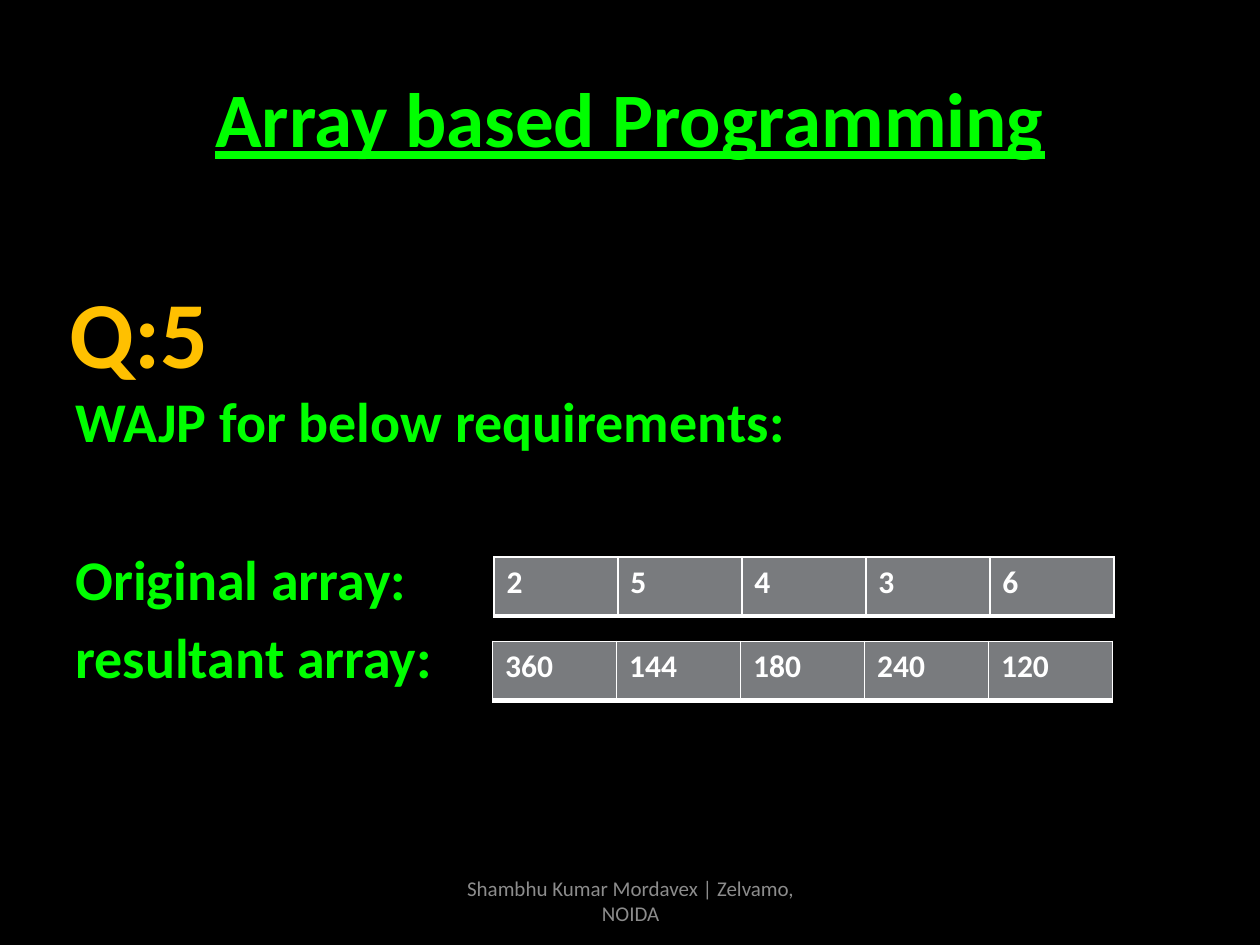
from lxml import etree
from pptx import Presentation
from pptx import util as u
from pptx.dml.color import RGBColor
from pptx.enum import text
from pptx.oxml.ns import qn

GREEN, AMBER, GRAY, WHITE, BLACK = "00FF00", "FFC000", "8C8C8C", "FFFFFF", "000000"
CELL_FILL = "797B7E"
BORDERS = {"lnL": 1, "lnR": 1, "lnT": 1, "lnB": 3}
LEFT, CENTER, RIGHT = text.PP_ALIGN.LEFT, text.PP_ALIGN.CENTER, text.PP_ALIGN.RIGHT
TOP, MIDDLE = text.MSO_ANCHOR.TOP, text.MSO_ANCHOR.MIDDLE


def color(value):
    """Turn a hex string into a colour."""
    return RGBColor.from_string(value)


def write(paragraph, words, size, hex_color, **formats):
    """Write one formatted run into a paragraph."""
    run = paragraph.add_run()
    run.text = words
    values = {"name": "Calibri", "size": u.Pt(size), **formats}
    for name, value in values.items():
        setattr(run.font, name, value)
    run.font.color.rgb = color(hex_color)


def add_text(slide, box, lines, size, hex_color, align=LEFT, anchor=TOP, **formats):
    """Place a wrapped text box with one paragraph per line."""
    shape = slide.shapes.add_textbox(*map(u.Inches, box))
    frame = shape.text_frame
    frame.word_wrap = True
    frame.vertical_anchor = anchor
    for index, line in enumerate(lines):
        paragraph = frame.add_paragraph() if index else frame.paragraphs[0]
        paragraph.alignment = align
        if index:
            paragraph.space_before = u.Pt(size * 0.2)
        write(paragraph, line, size, hex_color, **formats)


def add_borders(cell):
    """Draw the white borders of a cell."""
    properties = cell._tc.get_or_add_tcPr()
    for index, (tag, width) in enumerate(BORDERS.items()):
        line = etree.Element(qn(f"a:{tag}"), w=str(u.Pt(width)))
        fill = etree.SubElement(line, qn("a:solidFill"))
        etree.SubElement(fill, qn("a:srgbClr"), val=WHITE)
        properties.insert(index, line)


def add_array(slide, box, values):
    """Place a one-row table that shows the array values."""
    table = slide.shapes.add_table(1, len(values), *map(u.Inches, box)).table
    for column, value in enumerate(values):
        table.columns[column].width = u.Inches(box[2] / len(values))
        cell = table.cell(0, column)
        cell.fill.solid()
        cell.fill.fore_color.rgb = color(CELL_FILL)
        add_borders(cell)
        write(cell.text_frame.paragraphs[0], str(value), 18, WHITE, bold=True)


def add_question(slide, box):
    """Place the question number, its request and the two arrays."""
    left, top, width, height = box
    add_text(slide, (0.17, top, 1.58, 1.25), ["Q:5"], 54, AMBER, RIGHT, MIDDLE, bold=True)
    add_text(slide, (left, top + 1.02, width, 0.65),
             ["WAJP for below requirements:"], 32, GREEN, bold=True)
    add_text(slide, (left, top + 2.27, 3.4, height - 2.27),
             ["Original array:", "resultant array:"], 32, GREEN, bold=True)
    add_array(slide, (left + 3.42, top + 2.42, 4.92, 0.47), [2, 5, 4, 3, 6])
    add_array(slide, (left + 3.41, top + 3.09, 4.92, 0.47), [360, 144, 180, 240, 120])


def main():
    """Build and save the slide."""
    presentation = Presentation()
    presentation.slide_width, presentation.slide_height = u.Inches(10), u.Inches(7.5)
    slide = presentation.slides.add_slide(presentation.slide_layouts[6])
    slide.background.fill.solid()
    slide.background.fill.fore_color.rgb = color(BLACK)
    add_text(slide, (0.5, 0.3, 9, 1.25), ["Array based Programming"], 44, GREEN,
             CENTER, MIDDLE, bold=True, underline=True)
    add_question(slide, (0.5, 2, 9, 3.7))
    add_text(slide, (3.42, 6.95, 3.17, 0.4), ["Shambhu Kumar Mordavex | Zelvamo, NOIDA"],
             12, GRAY, CENTER, MIDDLE)
    presentation.save("out.pptx")


if __name__ == "__main__":
    main()
